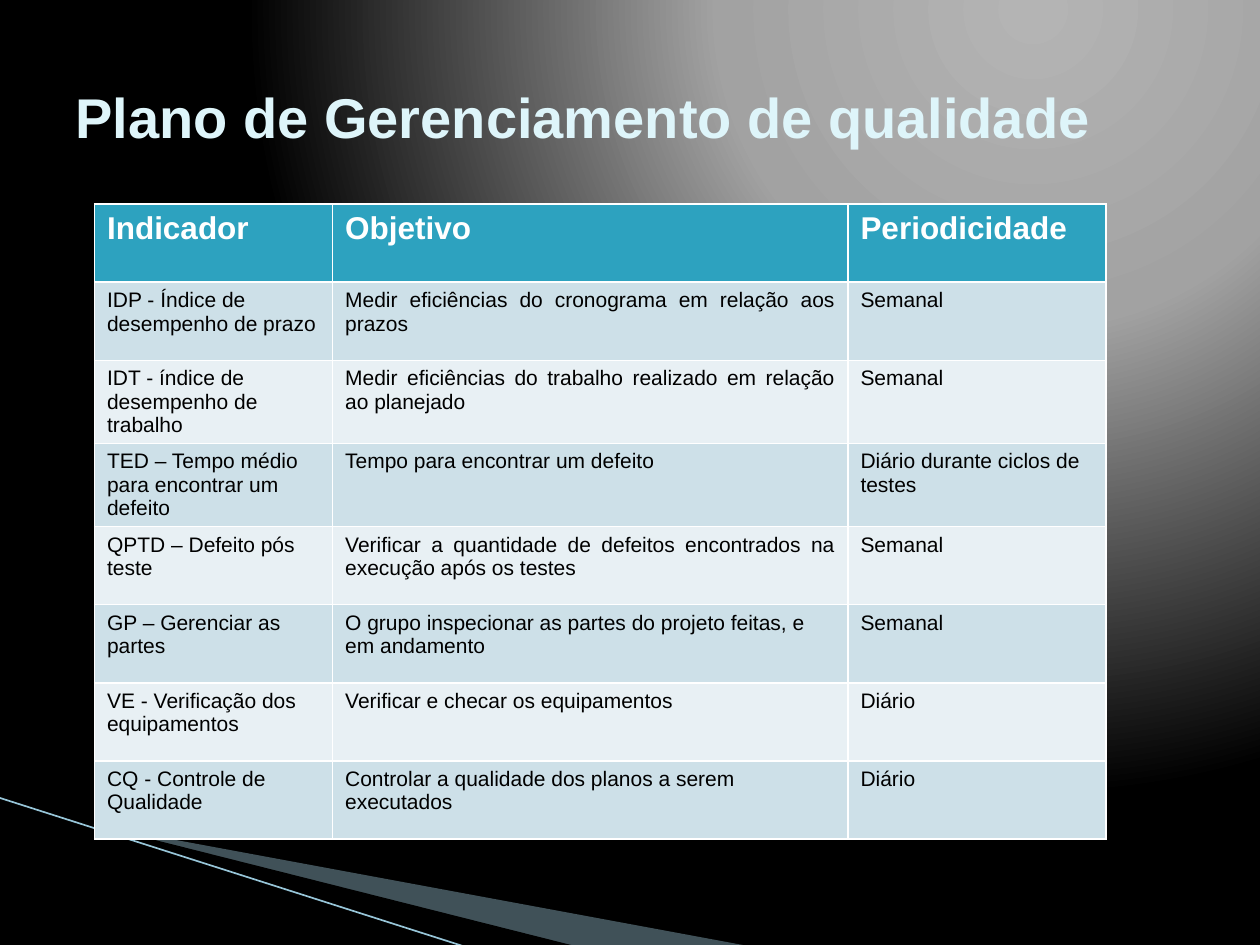
from lxml import etree
from pptx import Presentation, util as u
from pptx.dml.color import RGBColor
from pptx.enum import shapes, text
from pptx.oxml import parse_xml
from pptx.oxml.ns import nsdecls, qn

TITLE = "Plano de Gerenciamento de qualidade"
ROWS = [
    ("Indicador", "Objetivo", "Periodicidade"),
    ("IDP - Índice de desempenho de prazo",
     "Medir eficiências do cronograma em relação aos prazos", "Semanal"),
    ("IDT - índice de desempenho de trabalho",
     "Medir eficiências do trabalho realizado em relação ao planejado", "Semanal"),
    ("TED – Tempo médio para encontrar um defeito",
     "Tempo para encontrar um defeito", "Diário durante ciclos de testes"),
    ("QPTD – Defeito pós teste",
     "Verificar a quantidade de defeitos encontrados na execução após os testes",
     "Semanal"),
    ("GP – Gerenciar as partes",
     "O grupo inspecionar as partes do projeto feitas, e em andamento", "Semanal"),
    ("VE - Verificação dos equipamentos",
     "Verificar e checar os equipamentos", "Diário"),
    ("CQ - Controle de Qualidade",
     "Controlar a qualidade dos planos a serem executados", "Diário"),
]
JUSTIFIED_ROWS = range(1, 5)
COL_WIDTHS = (1.89, 4.09, 2.05)
ROW_HEIGHT = 0.62

FONT = "Arial"
BLACK = RGBColor(0x00, 0x00, 0x00)
WHITE = RGBColor(0xFF, 0xFF, 0xFF)
ICE = RGBColor(0xDE, 0xF5, 0xFA)
TEAL = RGBColor(0x2D, 0xA2, 0xBF)
BANDS = (RGBColor(0xE8, 0xF0, 0xF4), RGBColor(0xCD, 0xE0, 0xE8))
WEDGE = RGBColor(0xA0, 0xCB, 0xDC)
RAY = RGBColor(0x97, 0xC5, 0xD8)
GLOW = ((0, "B4B4B4"), (40, "A2A2A2"), (100, "000000"))

WEDGES = [
    ([(0.55, 6.51), (5.95, 7.51), (4.56, 7.51), (0.55, 6.5)], WEDGE, 40),
    ([(0.53, 6.49), (4.57, 7.51), (3.72, 7.52), (0.54, 6.5)], BLACK, 100),
]


def set_glow(s):
    """Give the slide a radial background lit from the upper right."""
    fill = s.background.fill
    fill.solid()
    stops = "".join(f'<a:gs pos="{pos * 1000}"><a:srgbClr val="{color}"/></a:gs>'
                    for pos, color in GLOW)
    grad = parse_xml(
        f'<a:gradFill {nsdecls("a")} rotWithShape="1"><a:gsLst>{stops}</a:gsLst>'
        '<a:path path="circle"><a:fillToRect l="65000" t="0" r="0" b="98000"/>'
        '</a:path></a:gradFill>')
    solid = next(s.element.iter(qn("a:solidFill")))
    solid.getparent().replace(solid, grad)


def add_wedge(s, points, color, opacity):
    """Draw one filled sliver in the lower left corner."""
    pts = [(u.Inches(x), u.Inches(y)) for x, y in points]
    builder = s.shapes.build_freeform(*pts[0])
    builder.add_line_segments(pts[1:], close=True)
    sp = builder.convert_to_shape()
    sp.shadow.inherit = False
    sp.fill.solid()
    sp.fill.fore_color.rgb = color
    sp.line.fill.background()
    if opacity < 100:
        clr = next(sp.element.iter(qn("a:srgbClr")))
        etree.SubElement(clr, qn("a:alpha")).set("val", str(opacity * 1000))


def add_ray(s):
    """Draw the thin diagonal line beside the wedges."""
    ray = s.shapes.add_connector(
        shapes.MSO_CONNECTOR.STRAIGHT,
        u.Inches(-0.01), u.Inches(6.33), u.Inches(3.71), u.Inches(7.52))
    ray.line.color.rgb = RAY
    ray.line.width = u.Pt(0.95)
    etree.SubElement(ray.element.spPr, qn("a:effectLst"))


def format_run(r, size, color, bold):
    """Set the font of one run."""
    r.font.name = FONT
    r.font.size = u.Pt(size)
    r.font.bold = bold
    r.font.color.rgb = color


def place_title(s):
    """Fill the title placeholder and bring it in front of the wedges."""
    title = s.shapes.title
    title.left, title.top = u.Inches(0.5), u.Inches(0.3)
    title.width, title.height = u.Inches(9), u.Inches(1.25)
    tf = title.text_frame
    tf.text = TITLE
    tf.vertical_anchor = text.MSO_ANCHOR.MIDDLE
    p = tf.paragraphs[0]
    p.alignment = text.PP_ALIGN.LEFT
    format_run(p.runs[0], 32, ICE, True)
    title.element.getparent().append(title.element)


def add_indicators(s):
    """Add the table of quality indicators."""
    table = s.shapes.add_table(
        len(ROWS), len(COL_WIDTHS), u.Inches(0.75), u.Inches(1.62),
        u.Inches(sum(COL_WIDTHS)), u.Inches(ROW_HEIGHT * len(ROWS))).table
    for col, width in zip(table.columns, COL_WIDTHS):
        col.width = u.Inches(width)
    for i, row in enumerate(ROWS):
        table.rows[i].height = u.Inches(ROW_HEIGHT)
        header = i == 0
        for j, content in enumerate(row):
            cell = table.cell(i, j)
            cell.fill.solid()
            cell.fill.fore_color.rgb = TEAL if header else BANDS[i % 2]
            cell.text_frame.text = content
            p = cell.text_frame.paragraphs[0]
            if j == 1 and i in JUSTIFIED_ROWS:
                p.alignment = text.PP_ALIGN.JUSTIFY
            format_run(p.runs[0], 18 if header else 12,
                       WHITE if header else BLACK, header)


prs = Presentation()
prs.slide_width, prs.slide_height = u.Inches(10), u.Inches(7.5)
s = prs.slides.add_slide(prs.slide_layouts[5])
set_glow(s)
for wedge in WEDGES:
    add_wedge(s, *wedge)
add_ray(s)
place_title(s)
add_indicators(s)
prs.save("out.pptx")
